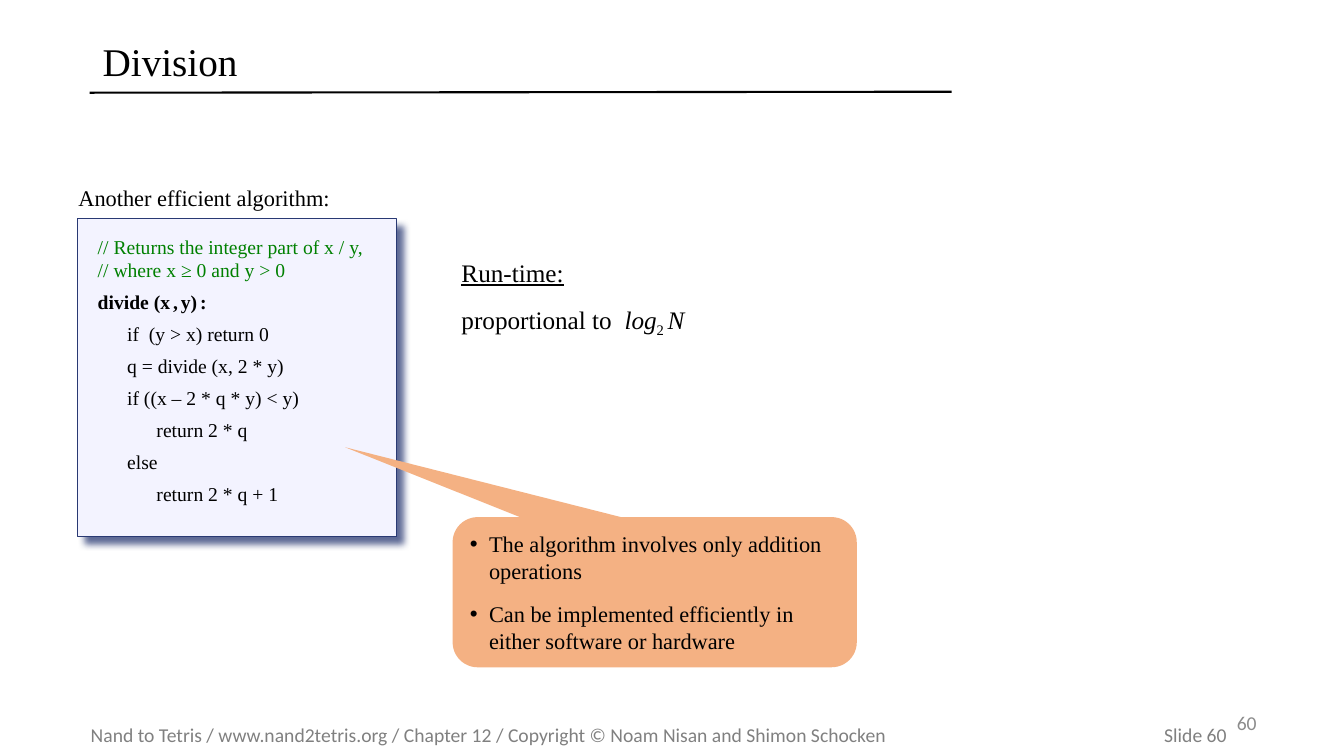
from dataclasses import dataclass

from lxml.etree import SubElement
from pptx import Presentation
from pptx.dml.color import RGBColor
from pptx.enum.shapes import MSO_CONNECTOR, MSO_SHAPE
from pptx.enum.text import MSO_ANCHOR, PP_ALIGN
from pptx.oxml.ns import qn
from pptx.util import Pt


@dataclass(frozen=True)
class Theme:
    black: str = "000000"
    footer: str = "808080"
    number: str = "8C8C8C"
    comment: str = "008000"
    code_fill: str = "F3F3FF"
    navy: str = "293973"
    callout: str = "F4B183"
    serif: str = "Times New Roman"
    sans: str = "Calibri"
    title_size: int = 28
    large: int = 18
    body: int = 16
    small: int = 14
    gap: int = 8


def add_run(p, text, *, size, color=Theme.black, font=Theme.serif,
            bold=False, italic=False, underline=False, baseline=0):
    r = p.add_run()
    r.text = text
    f = r.font
    f.name, f.size, f.bold, f.italic, f.underline = font, Pt(size), bold, italic, underline
    f.color.rgb = RGBColor.from_string(color)
    if baseline:
        r._r.get_or_add_rPr().set("baseline", str(baseline * 1000))


class SlideBuilder:
    def __init__(self, slide, theme):
        self.s, self.theme = slide, theme

    def frame(self, sp, anchor=MSO_ANCHOR.TOP, insets=(7.2, 3.6, 7.2, 3.6)):
        tf = sp.text_frame
        tf.word_wrap, tf.vertical_anchor = True, anchor
        tf.margin_left, tf.margin_top, tf.margin_right, tf.margin_bottom = map(Pt, insets)
        return tf

    def textbox(self, box, **frame):
        return self.frame(self.s.shapes.add_textbox(*map(Pt, box)), **frame)

    def shape(self, kind, box, fill, line=None, adjustments=()):
        sp = self.s.shapes.add_shape(kind, *map(Pt, box))
        sp.shadow.inherit = False
        sp.fill.solid()
        sp.fill.fore_color.rgb = RGBColor.from_string(fill)
        if line:
            sp.line.color.rgb = RGBColor.from_string(line)
            sp.line.width = Pt(0.75)
        else:
            sp.line.fill.background()
        for i, value in enumerate(adjustments):
            sp.adjustments[i] = value
        return sp

    def drop_shadow(self, sp, color, alpha, blur, dist, angle):
        effects = sp._element.spPr.find(qn("a:effectLst"))
        shadow = SubElement(effects, qn("a:outerShdw"), blurRad=str(Pt(blur)),
                            dist=str(Pt(dist)), dir=str(angle * 60000),
                            algn="tl", rotWithShape="0")
        clr = SubElement(shadow, qn("a:srgbClr"), val=color)
        SubElement(clr, qn("a:alpha"), val=str(alpha * 1000))

    def rule(self, x1, y1, x2, y2, width):
        ln = self.s.shapes.add_connector(MSO_CONNECTOR.STRAIGHT, *map(Pt, (x1, y1, x2, y2)))
        ln.line.color.rgb = RGBColor.from_string(self.theme.black)
        ln.line.width = Pt(width)
        SubElement(ln._element.spPr, qn("a:effectLst"))

    def paragraph(self, tf, runs, before=0, hanging=0, bullet=None, tab=None, **style):
        """Add one paragraph; runs are (text, format) pairs."""
        first = not tf.paragraphs[0].runs
        p = tf.paragraphs[0] if first else tf.add_paragraph()
        pPr = p._p.get_or_add_pPr()
        if hanging:
            pPr.set("marL", str(Pt(hanging)))
            pPr.set("indent", str(Pt(-hanging)))
        if bullet:
            SubElement(pPr, qn("a:buFont"), typeface="Arial")
            SubElement(pPr, qn("a:buChar"), char=bullet)
        if tab:
            tabs = SubElement(pPr, qn("a:tabLst"))
            SubElement(tabs, qn("a:tab"), pos=str(Pt(tab)), algn="l")
        p.alignment = PP_ALIGN.LEFT
        p.space_before = Pt(0 if first else before)
        for text, fmt in runs:
            add_run(p, text, **{**style, **fmt})
        return p


def main():
    prs = Presentation()
    prs.slide_width, prs.slide_height = Pt(960), Pt(540)
    th = Theme()
    b = SlideBuilder(prs.slides.add_slide(prs.slide_layouts[6]), th)
    middle = MSO_ANCHOR.MIDDLE
    footer_insets = (0, 3.6, 0, 3.6)

    # Footer and slide number
    tf = b.textbox((64.8, 512.64, 882, 24.48), anchor=middle, insets=footer_insets)
    credit = ("Nand to Tetris / www.nand2tetris.org / Chapter 12 / "
              "Copyright © Noam Nisan and Shimon Schocken")
    b.paragraph(tf, [(credit + "\tSlide 60", {})], tab=766.8,
                size=th.small, font=th.sans, color=th.footer)
    tf = b.textbox((883.44, 504, 38.16, 24.48), anchor=middle, insets=footer_insets)
    b.paragraph(tf, [("60", {})], size=th.small, font=th.sans, color=th.number)

    # Title and its rule
    b.rule(64.08, 66.24, 679.68, 65.52, 1.5)
    tf = b.textbox((66.24, 23.04, 614.16, 45.36), anchor=middle)
    b.paragraph(tf, [("Division", {})], size=th.title_size).line_spacing = 0.9

    # Algorithm
    sp = b.shape(MSO_SHAPE.RECTANGLE, (55.44, 156.24, 227.52, 226.8), th.code_fill, th.navy)
    b.drop_shadow(sp, th.navy, alpha=75, blur=5, dist=7.1, angle=45)
    tf = b.frame(sp, insets=(14.4, 11.52, 7.2, 11.52))
    for comment in ("// Returns the integer part of x / y,", "// where x ≥ 0 and y > 0"):
        b.paragraph(tf, [(comment, {})], hanging=27, size=th.small, color=th.comment)
    narrow = (" ", {"size": th.gap})
    signature = [("divide (x", {}), narrow, (",", {}), narrow, ("y)", {}), narrow, (":", {})]
    b.paragraph(tf, signature, before=6, hanging=27, size=th.small, bold=True)
    code = (
        "      if  (y > x) return 0",
        "      q = divide (x, 2 * y)",
        "      if ((x – 2 * q * y) < y)",
        "            return 2 * q",
        "      else",
        "            return 2 * q + 1",
    )
    for line in code:
        b.paragraph(tf, [(line, {})], before=6, hanging=27, size=th.small)

    # Run-time
    tf = b.textbox((322.56, 180, 354.24, 99.36))
    b.paragraph(tf, [("Run-time:", {"underline": True})], size=th.large)
    b.paragraph(tf, [("proportional to  ", {}), ("log", {"italic": True}),
                     ("2 ", {"baseline": -25}), ("N", {"italic": True})],
                before=12, size=th.large)

    # Callout
    sp = b.shape(MSO_SHAPE.ROUNDED_RECTANGULAR_CALLOUT, (323.28, 369.36, 288.72, 107.28),
                 th.callout, adjustments=(-0.766, -0.965, 0.167))
    tf = b.frame(sp, anchor=middle)
    for point in ("The algorithm involves only addition operations",
                  "Can be implemented efficiently in either software or hardware"):
        b.paragraph(tf, [(point, {})], before=12, hanging=13.68, bullet="•", size=th.body)

    # Algorithm heading
    tf = b.textbox((48.96, 128.16, 218.16, 30.24))
    b.paragraph(tf, [("Another efficient algorithm:", {})], hanging=27, size=th.body)

    prs.save("out.pptx")


if __name__ == "__main__":
    main()
